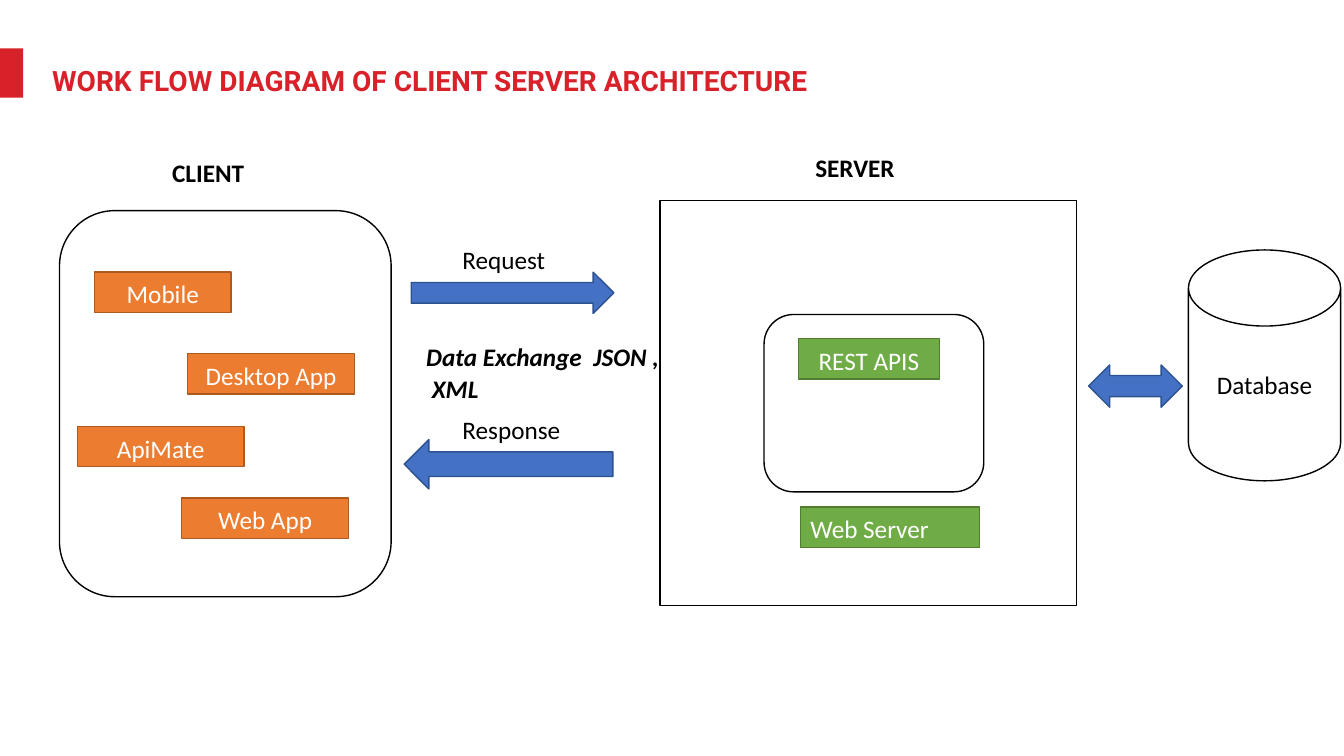
from dataclasses import dataclass

from pptx import Presentation
from pptx.dml.color import RGBColor
from pptx.enum.shapes import MSO_SHAPE
from pptx.enum.text import MSO_ANCHOR, PP_ALIGN
from pptx.util import Inches, Pt


@dataclass(frozen=True)
class Theme:
    red: str = "D92129"
    black: str = "000000"
    white: str = "FFFFFF"
    orange: tuple = ("EC7C30", "AD5A20")
    green: tuple = ("6FAC46", "507D31")
    blue: tuple = ("4471C4", "2E528F")
    head: str = "Roboto"
    body: str = "Calibri"
    large: int = 20
    text: int = 18
    stroke: int = 1
    gap: int = 1


class Board:
    cols, rows = 400 / 3, 75

    def __init__(self, deck, theme):
        self.theme = theme
        self.slide = deck.slides.add_slide(deck.slide_layouts[6])
        self.col = deck.slide_width / self.cols
        self.row = deck.slide_height / self.rows

    def place(self, x, y, w, h):
        return [round(n * unit) for n, unit in
                zip((x, y, w, h), (self.col, self.row) * 2)]

    def letter(self, frame, text, color, font=None, size=None,
               bold=False, slant=False, align=PP_ALIGN.LEFT):
        frame.word_wrap = True
        frame.text = text
        for line in frame.paragraphs:
            line.alignment = align
            for run in line.runs:
                run.font.name = font or self.theme.body
                run.font.size = Pt(size or self.theme.text)
                run.font.bold = bold
                run.font.italic = slant
                run.font.color.rgb = RGBColor.from_string(color)

    def shape(self, kind, spot, fill=None, edge=None):
        item = self.slide.shapes.add_shape(kind, *self.place(*spot))
        item.shadow.inherit = False
        if fill:
            item.fill.solid()
            item.fill.fore_color.rgb = RGBColor.from_string(fill)
        else:
            item.fill.background()
        if edge:
            item.line.color.rgb = RGBColor.from_string(edge)
            item.line.width = Pt(self.theme.stroke)
        else:
            item.line.fill.background()
        return item

    def frame(self, kind, *spot):
        return self.shape(kind, spot, edge=self.theme.black)

    def arrow(self, kind, *spot):
        return self.shape(kind, spot, *self.theme.blue)

    def tag(self, text, paint, *spot, align=PP_ALIGN.CENTER, inset=0):
        body = self.shape(MSO_SHAPE.RECTANGLE, spot, *paint).text_frame
        body.margin_left = Inches(inset)
        body.margin_right = body.margin_bottom = 0
        body.margin_top = Inches(0.03)
        body.vertical_anchor = MSO_ANCHOR.MIDDLE
        self.letter(body, text, self.theme.white, align=align)

    def title(self, text, *spot):
        box = self.slide.shapes.add_textbox(*self.place(*spot))
        self.letter(box.text_frame, text, self.theme.red,
                    self.theme.head, self.theme.large, bold=True)

    def label(self, text, *spot, **style):
        box = self.slide.shapes.add_textbox(*self.place(*spot))
        self.letter(box.text_frame, text, self.theme.black, **style)
        for line in box.text_frame.paragraphs:
            line.space_before = Pt(self.theme.gap)

    def store(self, text, *spot):
        can = self.frame(MSO_SHAPE.CAN, *spot)
        can.adjustments[0] = 0.5
        body = can.text_frame
        body.margin_left = body.margin_right = 0
        body.vertical_anchor = MSO_ANCHOR.MIDDLE
        self.letter(body, text, self.theme.black, align=PP_ALIGN.CENTER)


def main():
    deck = Presentation()
    deck.slide_width, deck.slide_height = Inches(40 / 3), Inches(7.5)
    theme = Theme()
    board = Board(deck, theme)

    board.shape(MSO_SHAPE.RECTANGLE, (0, 4.8, 2.3, 4.9), theme.red)
    board.title("WORK FLOW DIAGRAM OF CLIENT SERVER ARCHITECTURE",
                4.2, 5.8, 78, 7.7)

    board.label("CLIENT", 16.1, 15.1, 20, 4, bold=True)
    board.frame(MSO_SHAPE.ROUNDED_RECTANGLE, 5.9, 20.9, 32.9, 38.3)
    for text, x, y, w in (("Mobile", 9.4, 27, 13.5),
                          ("Desktop App", 18.6, 35.1, 16.6),
                          ("ApiMate", 7.7, 42.3, 16.5),
                          ("Web App", 18, 49.4, 16.6)):
        board.tag(text, theme.orange, x, y, w, 4)

    board.label("Request", 44.9, 23.7, 20, 4)
    board.arrow(MSO_SHAPE.RIGHT_ARROW, 40.8, 27, 20.1, 4.1)
    board.label("Data Exchange  JSON ,\n XML", 41.3, 33.4, 44.8, 7.2,
                bold=True, slant=True)
    board.label("Response", 44.9, 40.6, 20, 4)
    board.arrow(MSO_SHAPE.LEFT_ARROW, 40.1, 43.6, 20.7, 4.9)

    board.label("SERVER", 79.9, 14.6, 20, 4, bold=True)
    board.frame(MSO_SHAPE.RECTANGLE, 65.5, 19.9, 41.3, 40.2)
    board.frame(MSO_SHAPE.ROUNDED_RECTANGLE, 75.8, 31.2, 21.8, 17.6)
    board.tag("REST APIS", theme.green, 79.2, 33.6, 14, 4)
    board.tag("Web Server", theme.green, 79.4, 50.3, 17.8, 4,
              align=PP_ALIGN.LEFT, inset=0.1)

    board.arrow(MSO_SHAPE.LEFT_RIGHT_ARROW, 108, 36.2, 9.3, 4.2)
    board.store("Database", 117.9, 24.8, 15.1, 22.9)
    deck.save("out.pptx")


if __name__ == "__main__":
    main()
